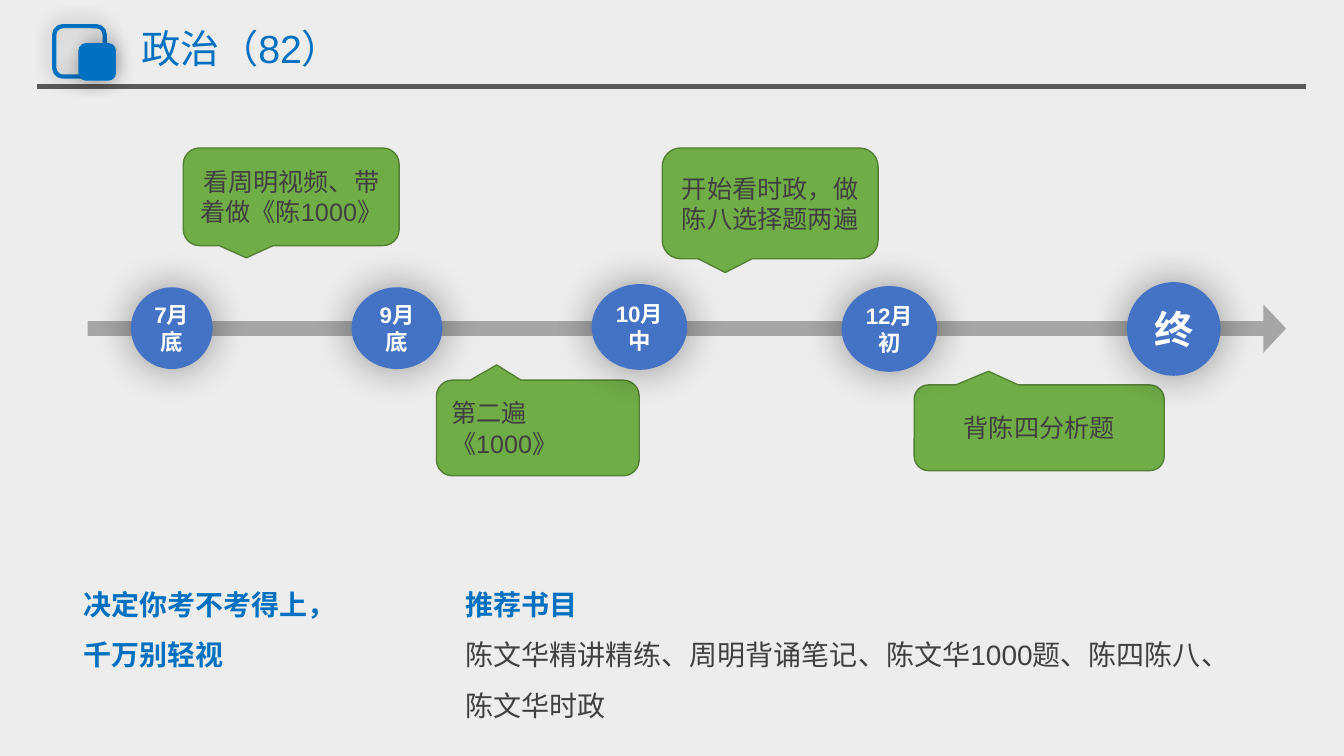
"""Build the politics revision timeline slide."""
from lxml.etree import SubElement
from pptx import Presentation
from pptx.dml.color import RGBColor
from pptx.enum.shapes import MSO_CONNECTOR, MSO_SHAPE
from pptx.enum.text import MSO_ANCHOR, MSO_AUTO_SIZE, PP_ALIGN
from pptx.oxml.ns import qn
from pptx.util import Cm, Pt

BACKGROUND = RGBColor(0xED, 0xED, 0xED)
ACCENT = RGBColor(0x00, 0x70, 0xC0)
RULE = RGBColor(0x59, 0x59, 0x59)
ARROW = RGBColor(0xA6, 0xA6, 0xA6)
BLUE = RGBColor(0x44, 0x72, 0xC4)
GREEN = RGBColor(0x70, 0xAD, 0x47)
DARK_GREEN = RGBColor(0x53, 0x80, 0x35)
DARK = RGBColor(0x40, 0x40, 0x40)
WHITE = RGBColor(0xFF, 0xFF, 0xFF)

TITLE = "政治（82）"
TITLE_BOX = (3.3, 0.48, 13.21, 1.6)
RULE_ENDS = (0.94, 2.18, 32.92, 2.18)
ICON = [((1.37, 0.66, 1.27, 1.27), None), ((2.03, 1.14, 0.84, 0.84), ACCENT)]
ARROW_BOX = (2.21, 7.67, 30.2, 1.22)
ABOVE = (-0.208, 0.625, 0.167)
BELOW = (-0.203, -0.659, 0.167)
TASKS = [
    ("看周明视频、带着做《陈1000》", (4.62, 3.73, 5.44, 2.46), ABOVE, PP_ALIGN.CENTER),
    ("第二遍《1000》", (11, 9.58, 5.11, 2.41), BELOW, PP_ALIGN.LEFT),
    ("开始看时政，做陈八选择题两遍", (16.69, 3.73, 5.44, 2.79), ABOVE, PP_ALIGN.CENTER),
    ("背陈四分析题", (23.04, 9.7, 6.3, 2.16), BELOW, PP_ALIGN.CENTER),
]
DATES = [
    ("7月底", (3.3, 7.24, 2.06, 2.06), 16),
    ("9月底", (8.86, 7.24, 2.29, 2.06), 16),
    ("12月初", (21.21, 7.21, 2.41, 2.16), 16),
    ("终", (28.4, 7.11, 2.36, 2.36), 28),
    ("10月中", (14.91, 7.16, 2.41, 2.16), 16),
]
HEADING = {"size": Pt(20), "bold": True}
BODY = {"size": Pt(20), "bold": False}
NOTES = [
    ((11.48, 14.25, 19.69, 3.94), [
        ("推荐书目", ACCENT, HEADING),
        ("陈文华精讲精练、周明背诵笔记、陈文华1000题、陈四陈八、陈文华时政", DARK, BODY),
    ]),
    ((1.85, 14.25, 7.04, 2.67), [("决定你考不考得上，千万别轻视", ACCENT, HEADING)]),
]


def cm(box):
    return [Cm(v) for v in box]


def write(p, text, color, fmt, align=PP_ALIGN.LEFT, spacing=1.0):
    p.alignment = align
    p.line_spacing = spacing
    r = p.add_run()
    r.text = text
    r.font.color.rgb = color
    for name, value in {"name": "Arial", **fmt}.items():
        setattr(r.font, name, value)


def add_shape(s, kind, box, fill=None, line=None, width=1, adj=()):
    sp = s.shapes.add_shape(kind, *cm(box))
    sp.shadow.inherit = False
    if fill is None:
        sp.fill.background()
    else:
        sp.fill.solid()
        sp.fill.fore_color.rgb = fill
    if line is None:
        sp.line.fill.background()
    else:
        sp.line.color.rgb = line
        sp.line.width = Pt(width)
    for i, value in enumerate(adj):
        sp.adjustments[i] = value
    sp.text_frame.word_wrap = True
    sp.text_frame.vertical_anchor = MSO_ANCHOR.MIDDLE
    return sp


def add_glow_shadow(sp, blur):
    effects = sp._element.spPr.find(qn("a:effectLst"))
    shadow = SubElement(effects, qn("a:outerShdw"), blurRad=str(Pt(blur)),
                        dist="0", dir="0", algn="ctr", rotWithShape="0")
    color = SubElement(shadow, qn("a:srgbClr"), val="000000")
    SubElement(color, qn("a:alpha"), val="40000")


def add_header(s):
    x1, y1, x2, y2 = cm(RULE_ENDS)
    rule = s.shapes.add_connector(MSO_CONNECTOR.STRAIGHT, x1, y1, x2, y2)
    rule.line.color.rgb = RULE
    rule.line.width = Pt(3)
    SubElement(rule._element.spPr, qn("a:effectLst"))
    for box, fill in ICON:
        sp = add_shape(s, MSO_SHAPE.ROUNDED_RECTANGLE, box, fill, ACCENT, 3)
        add_glow_shadow(sp, 15)
    title = s.shapes.title
    title.left, title.top, title.width, title.height = cm(TITLE_BOX)
    tf = title.text_frame
    tf.vertical_anchor = MSO_ANCHOR.MIDDLE
    write(tf.paragraphs[0], TITLE, ACCENT, {"size": Pt(28)}, spacing=0.9)


def add_timeline(s):
    add_shape(s, MSO_SHAPE.RIGHT_ARROW, ARROW_BOX, ARROW, adj=(0.308, 0.468))
    for text, box, adj, align in TASKS:
        sp = add_shape(s, MSO_SHAPE.ROUNDED_RECTANGULAR_CALLOUT, box,
                       GREEN, DARK_GREEN, adj=adj)
        write(sp.text_frame.paragraphs[0], text, DARK, {"size": Pt(18)}, align)
    for text, box, size in DATES:
        sp = add_shape(s, MSO_SHAPE.OVAL, box, BLUE)
        add_glow_shadow(sp, 30)
        write(sp.text_frame.paragraphs[0], text, WHITE,
              {"size": Pt(size), "bold": True}, PP_ALIGN.CENTER)


def add_notes(s):
    for box, lines in NOTES:
        tf = s.shapes.add_textbox(*cm(box)).text_frame
        tf.word_wrap = True
        tf.auto_size = MSO_AUTO_SIZE.SHAPE_TO_FIT_TEXT
        for i, (text, color, fmt) in enumerate(lines):
            p = tf.add_paragraph() if i else tf.paragraphs[0]
            write(p, text, color, fmt, spacing=1.5)


def main():
    prs = Presentation()
    prs.slide_width, prs.slide_height = Cm(33.87), Cm(19.05)
    s = prs.slides.add_slide(prs.slide_layouts[5])
    s.background.fill.solid()
    s.background.fill.fore_color.rgb = BACKGROUND
    add_header(s)
    add_timeline(s)
    add_notes(s)
    prs.save("out.pptx")


if __name__ == "__main__":
    main()
